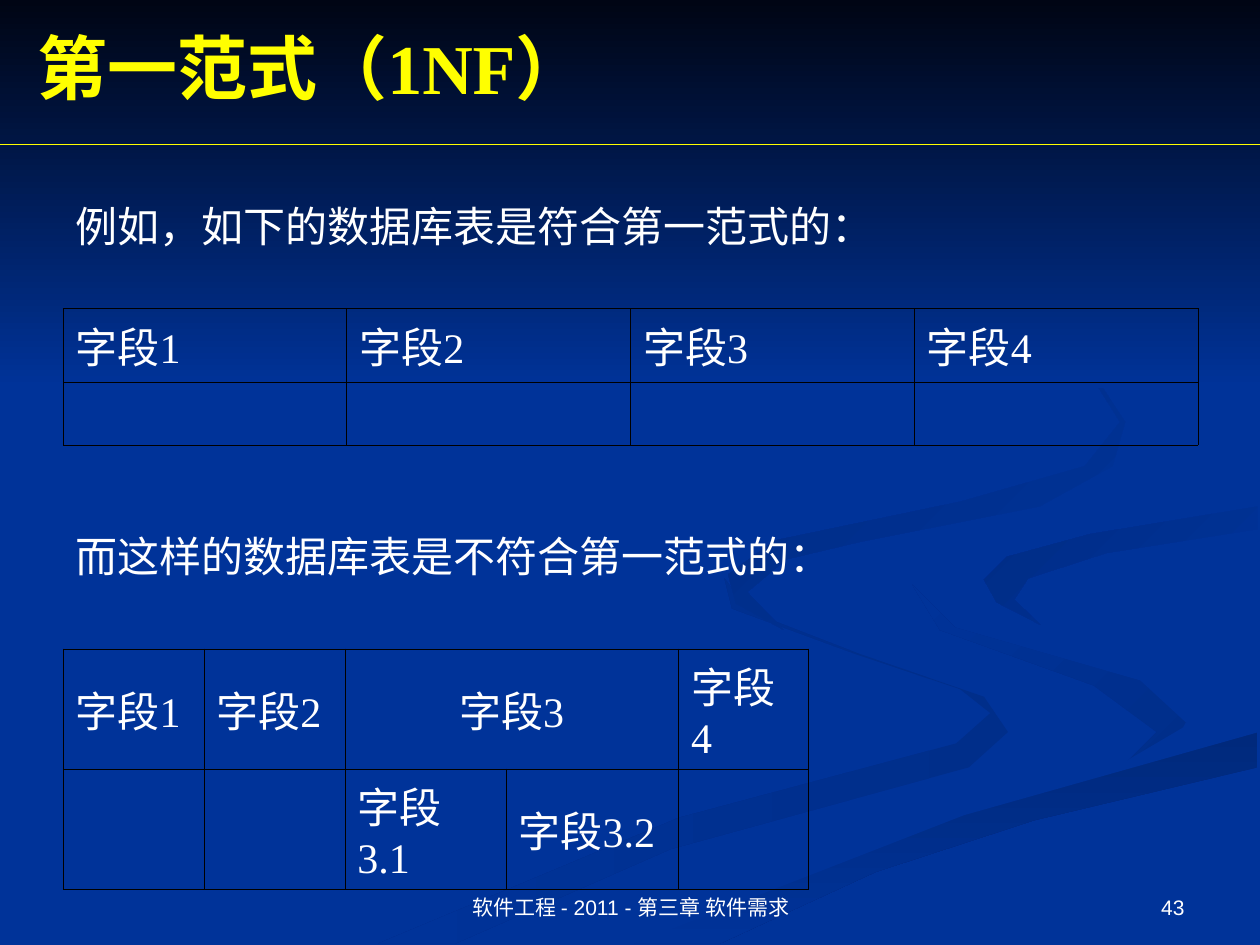
"""Build a slide contrasting tables that meet and break first normal form."""
from dataclasses import dataclass

from lxml import etree
from pptx import Presentation
from pptx.dml.color import RGBColor
from pptx.enum.shapes import MSO_CONNECTOR
from pptx.enum.text import MSO_ANCHOR, PP_ALIGN
from pptx.oxml.ns import qn
from pptx.util import Cm, Pt

STRAIGHT = MSO_CONNECTOR.STRAIGHT
MIDDLE, BOTTOM = MSO_ANCHOR.MIDDLE, MSO_ANCHOR.BOTTOM
LEFT, CENTER, RIGHT = PP_ALIGN.LEFT, PP_ALIGN.CENTER, PP_ALIGN.RIGHT


@dataclass(frozen=True)
class Theme:
    background: str = "003399"
    night: str = "000514"
    ribbon_left: str = "002E8A"
    ribbon_low: str = "00297C"
    ribbon_right: str = "002C85"
    ribbon_top: str = "002B81"
    text: str = "FFFFFF"
    accent: str = "FFFF00"
    border: str = "000000"
    serif: str = "Times New Roman"
    sans: str = "Arial"
    title_size: int = 40
    body_size: int = 24
    footer_size: int = 12


theme = Theme()


def add_run(paragraph, text, size=theme.body_size, font=theme.serif, color=theme.text, bold=False):
    run = paragraph.add_run()
    run.text = text
    run.font.size = Pt(size)
    run.font.name = font
    run.font.bold = bold
    run.font.color.rgb = RGBColor.from_string(color)


def add_grid(left, top, widths, row_height, labels):
    frame = slide.shapes.add_table(
        len(labels), len(widths), Cm(left), Cm(top), Cm(sum(widths)), Cm(row_height * len(labels)))
    table = frame.table
    table.first_row = table.horz_banding = False
    for column, width in zip(table.columns, widths):
        column.width = Cm(width)
    for row, row_labels in zip(table.rows, labels):
        row.height = Cm(row_height)
        for cell, label in zip(row.cells, row_labels):
            cell.vertical_anchor = MIDDLE
            properties = cell._tc.get_or_add_tcPr()
            for side in ("a:lnL", "a:lnR", "a:lnT", "a:lnB"):
                border = etree.SubElement(properties, qn(side), w=str(Pt(0.34)))
                solid = etree.SubElement(border, qn("a:solidFill"))
                etree.SubElement(solid, qn("a:srgbClr"), val=theme.border)
            cell.fill.background()
            if label:
                add_run(cell.text_frame.paragraphs[0], label)
    return table


presentation = Presentation()
presentation.slide_width, presentation.slide_height = Cm(25.4), Cm(19.05)
slide = presentation.slides.add_slide(presentation.slide_layouts[6])
slide.background.fill.solid()
slide.background.fill.fore_color.rgb = RGBColor.from_string(theme.background)

ribbons = [
    (theme.ribbon_left, theme.background, 180, [
        (781, 553), (682, 519), (594, 485), (575, 459), (581, 483), (679, 519), (762, 547),
        (786, 566), (759, 590), (539, 649), (300, 749), (361, 749), (532, 674), (769, 609),
        (800, 581)]),
    (theme.ribbon_left, theme.background, 225, [
        (943, 570), (905, 540), (758, 498), (724, 464), (746, 500), (868, 544), (918, 581),
        (894, 605), (932, 589)]),
    (theme.ribbon_low, theme.background, 90, [
        (503, 749), (571, 749), (695, 692), (821, 651), (998, 609), (998, 581), (764, 647),
        (630, 693)]),
    (theme.background, theme.background, 90, [
        (725, 464), (759, 498), (905, 540), (943, 575), (892, 605), (704, 655), (477, 749),
        (503, 749), (765, 647), (999, 581), (999, 538), (848, 503), (781, 463), (865, 424),
        (999, 402), (999, 387), (755, 432)]),
    (theme.background, theme.ribbon_right, 225, [
        (781, 460), (791, 478), (826, 496), (805, 476), (816, 459), (878, 439), (998, 420),
        (998, 402), (865, 424), (799, 442)]),
    (theme.background, theme.ribbon_top, 225, [
        (683, 430), (825, 402), (883, 370), (893, 335), (864, 291), (762, 233), (862, 292),
        (889, 335), (861, 370), (763, 398), (615, 429), (578, 456), (584, 479), (622, 500),
        (593, 470), (624, 444)]),
    (theme.night, theme.background, 90, [(0, 0), (0, 308), (1000, 308), (1000, 0)]),
]
for start_color, end_color, angle, points in ribbons:
    builder = slide.shapes.build_freeform(*points[0], scale=Cm(0.0254))
    builder.add_line_segments(points[1:], close=True)
    shape = builder.convert_to_shape()
    shape.shadow.inherit = False
    shape.line.fill.background()
    shape.fill.gradient()
    shape.fill.gradient_angle = 360 - angle
    for stop, position, color in zip(shape.fill.gradient_stops, (0, 1), (start_color, end_color)):
        stop.position = position
        stop.color.rgb = RGBColor.from_string(color)

add_grid(1.27, 6.22, [5.72] * 4, 1.27, [[f"字段{number}" for number in range(1, 5)], [""] * 4])
nested_table = add_grid(1.27, 13.08, [2.84, 2.84, 3.25, 3.48, 2.62], 2.29, [
    ["字段1", "字段2", "字段3", "", "字段4"],
    ["", "", "字段3.1", "字段3.2", ""],
])
nested_table.cell(0, 2).merge(nested_table.cell(0, 3))
nested_table.cell(0, 2).text_frame.paragraphs[0].alignment = CENTER

title_style = (theme.title_size, theme.serif, theme.accent, True)
body_style = (theme.body_size, theme.serif)
footer_style = (theme.footer_size, theme.sans)
texts = [
    ("例如，如下的数据库表是符合第一范式的：", (1.27, 3.91, 16.59, 1.27), MIDDLE, LEFT, body_style),
    ("而这样的数据库表是不符合第一范式的：", (1.27, 10.57, 17.45, 1.27), MIDDLE, LEFT, body_style),
    ("第一范式（1NF）", (0.51, 0.36, 22.86, 1.96), MIDDLE, LEFT, title_style),
    ("软件工程 - 2011 - 第三章 软件需求", (8.69, 17.35, 8.05, 1.32), BOTTOM, CENTER, footer_style),
    ("43", (18.21, 17.35, 5.92, 1.32), BOTTOM, RIGHT, footer_style),
]
for text, box, anchor, alignment, style in texts:
    text_frame = slide.shapes.add_textbox(*map(Cm, box)).text_frame
    text_frame.word_wrap = True
    text_frame.vertical_anchor = anchor
    paragraph = text_frame.paragraphs[0]
    paragraph.alignment = alignment
    add_run(paragraph, text, *style)

title_rule = slide.shapes.add_connector(STRAIGHT, Cm(0), Cm(2.92), Cm(25.4), Cm(2.92))
title_rule.line.color.rgb = RGBColor.from_string(theme.accent)
title_rule.line.width = Pt(0.75)
etree.SubElement(title_rule._element.spPr, qn("a:effectLst"))

presentation.save("out.pptx")
